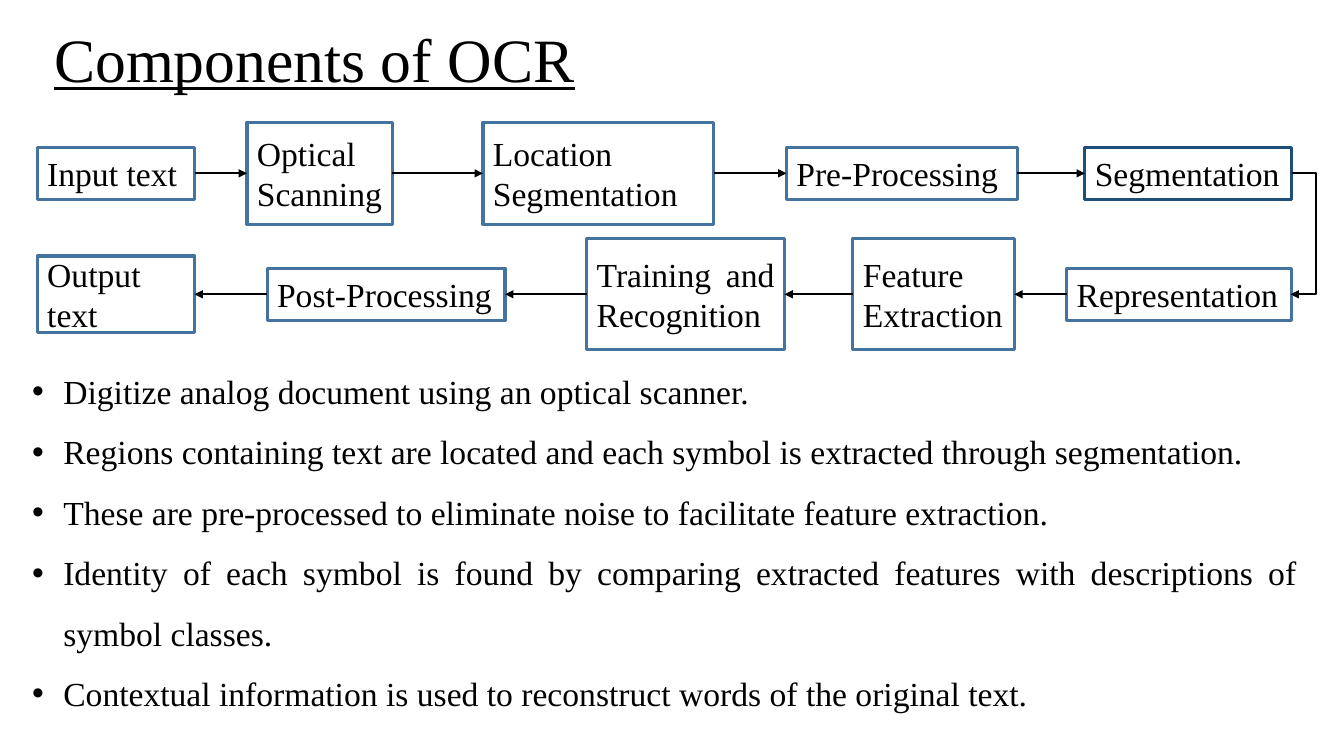
from lxml import etree
from pptx import Presentation
from pptx.dml.color import RGBColor
from pptx.enum.shapes import MSO_CONNECTOR, MSO_SHAPE
from pptx.enum.text import MSO_ANCHOR, PP_ALIGN
from pptx.oxml.ns import qn
from pptx.util import Inches, Pt

BLACK = RGBColor(0x00, 0x00, 0x00)
WHITE = RGBColor(0xFF, 0xFF, 0xFF)
BLUE = RGBColor(0x43, 0x73, 0x9E)
NAVY = RGBColor(0x1F, 0x4E, 0x79)
STRAIGHT, ELBOW = MSO_CONNECTOR.STRAIGHT, MSO_CONNECTOR.ELBOW
RECT = MSO_SHAPE.RECTANGLE
MIDDLE = MSO_ANCHOR.MIDDLE
LEFT, JUSTIFY = PP_ALIGN.LEFT, PP_ALIGN.JUSTIFY
LEFT_SITE, RIGHT_SITE = 1, 3  # connection sites of a rectangle


class SlideBuilder:
    font = "Times New Roman"
    body_size = 24

    def __init__(self, slide):
        self.slide = slide

    def add_text(self, p, text, size=body_size, underline=None, align=JUSTIFY):
        p.alignment = align
        r = p.add_run()
        r.text = text
        r.font.name = self.font
        r.font.size = Pt(size)
        r.font.color.rgb = BLACK
        r.font.underline = underline

    def text_frame(self, x, y, w, h):
        tf = self.slide.shapes.add_textbox(
            Inches(x), Inches(y), Inches(w), Inches(h)).text_frame
        tf.word_wrap = True
        return tf

    def title(self, text, x, y, w, h):
        tf = self.text_frame(x, y, w, h)
        tf.vertical_anchor = MIDDLE
        self.add_text(tf.paragraphs[0], text, 44, True, LEFT)

    def bullets(self, items, x, y, w, h, indent=0.31):
        tf = self.text_frame(x, y, w, h)
        for i, item in enumerate(items):
            p = tf.add_paragraph() if i else tf.paragraphs[0]
            self.add_text(p, item)
            p.line_spacing = 1.5
            pPr = p._p.get_or_add_pPr()
            pPr.set("marL", str(Inches(indent)))
            pPr.set("indent", str(-Inches(indent)))
            etree.SubElement(pPr, qn("a:buFont")).set("typeface", "Arial")
            etree.SubElement(pPr, qn("a:buChar")).set("char", "•")

    def box(self, text, x, middle, w, h, color=BLUE):
        s = self.slide.shapes.add_shape(
            RECT, Inches(x), Inches(middle - h / 2), Inches(w), Inches(h))
        s.shadow.inherit = False
        s.fill.solid()
        s.fill.fore_color.rgb = WHITE
        s.line.color.rgb = color
        s.line.width = Pt(2.25)
        tf = s.text_frame
        tf.word_wrap = True
        tf.vertical_anchor = MIDDLE
        self.add_text(tf.paragraphs[0], text)
        return s

    def arrow(self, kind, x1=0, y1=0, x2=0, y2=0):
        c = self.slide.shapes.add_connector(
            kind, Inches(x1), Inches(y1), Inches(x2), Inches(y2))
        c.line.color.rgb = BLACK
        c.line.width = Pt(1.5)
        spPr = c._element.spPr
        etree.SubElement(spPr.find(qn("a:ln")), qn("a:tailEnd")).set("type", "triangle")
        etree.SubElement(spPr, qn("a:effectLst"))
        return c

    def link(self, start, end, start_site, end_site):
        c = self.arrow(STRAIGHT)
        c.begin_connect(start, start_site)
        c.end_connect(end, end_site)

    def turn(self, x1, y1, x2, y2, reach):
        """Elbow arrow that runs out to the right by reach, then back to x2."""
        c = self.arrow(ELBOW, x1, y1, x2, y2)
        ratio = round(-reach / (x1 - x2) * 100000)
        geom = c._element.spPr.find(qn("a:prstGeom"))
        guide = etree.SubElement(geom.get_or_add_avLst(), qn("a:gd"))
        guide.set("name", "adj1")
        guide.set("fmla", f"val {ratio}")


prs = Presentation()
prs.slide_width, prs.slide_height = Inches(13.33), Inches(7.5)
sb = SlideBuilder(prs.slides.add_slide(prs.slide_layouts[6]))

sb.title("Components of OCR", 0.44, 0.15, 12.44, 0.84)

# Flow boxes, in process order: text, left, width, height, line colour
ROW_1, ROW_2 = 1.72, 2.92
first_row = [
    ("Input text", 0.37, 1.56, 0.52, BLUE),
    ("Optical Scanning", 2.45, 1.44, 1.01, BLUE),
    ("Location Segmentation", 4.79, 2.29, 1.01, BLUE),
    ("Pre-Processing", 7.8, 2.29, 0.52, BLUE),
    ("Segmentation", 10.76, 2.05, 0.52, NAVY),
]
second_row = [
    ("Representation", 10.58, 2.23, 0.52, BLUE),
    ("Feature Extraction", 8.46, 1.6, 1.1, BLUE),
    ("Training and Recognition", 5.82, 1.96, 1.1, BLUE),
    ("Post-Processing", 2.65, 2.36, 0.52, BLUE),
    ("Output text", 0.37, 1.56, 0.76, BLUE),
]

# First row runs right, second row runs back left
for row, middle, exit_site, entry_site in (
        (first_row, ROW_1, RIGHT_SITE, LEFT_SITE),
        (second_row, ROW_2, LEFT_SITE, RIGHT_SITE)):
    boxes = [sb.box(text, x, middle, w, h, color) for text, x, w, h, color in row]
    for start, end in zip(boxes, boxes[1:]):
        sb.link(start, end, exit_site, entry_site)

# Turn from the first row into the second
sb.turn(12.81, ROW_1, 12.8, ROW_2, 0.25)

sb.bullets([
    "Digitize analog document using an optical scanner.",
    "Regions containing text are located and each symbol is extracted through segmentation.",
    "These are pre-processed to eliminate noise to facilitate feature extraction.",
    "Identity of each symbol is found by comparing extracted features with "
    "descriptions of symbol classes.",
    "Contextual information is used to reconstruct words of the original text.",
], 0.22, 3.43, 12.74, 3.66)

prs.save("out.pptx")
